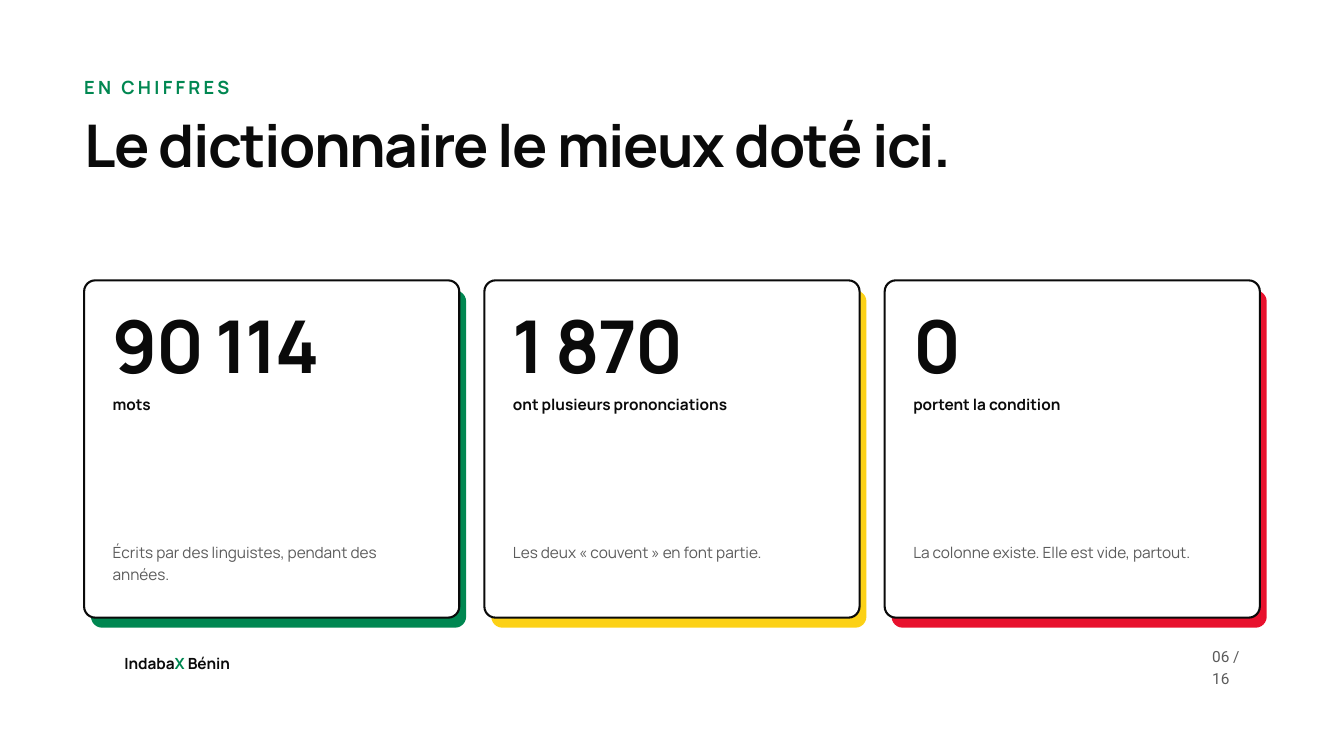
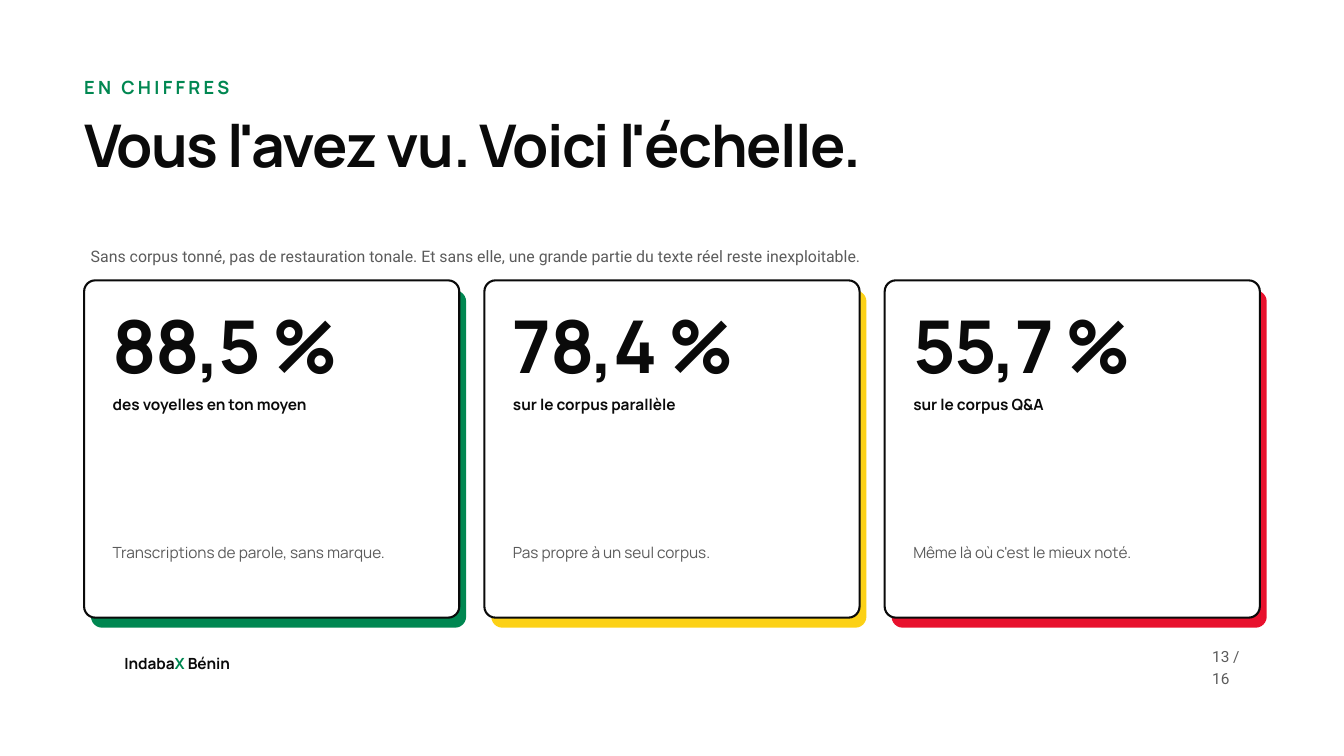
"""Build two slides of key figures, each with three cards."""
import pptx
import pptx.dml.color
import pptx.enum.shapes
import pptx.enum.text
import pptx.util

Cm = pptx.util.Cm
Pt = pptx.util.Pt

COLORS = {
    "ink": "0A0A0A",
    "grey": "5B5B5B",
    "white": "FFFFFF",
    "green": "008751",
    "yellow": "FCD116",
    "red": "E8112D",
}
ACCENTS = ["green", "yellow", "red"]
LEFT, CARD_TOP = 3.18, 10.6
CARD_W, CARD_H, CARD_PITCH = 14.18, 12.75, 15.13
SHADOW_DX, SHADOW_DY = 0.26, 0.38
CORNER = 0.42
PAD = 1.08
TOTAL = 16

SLIDES = [
    {
        "number": 6,
        "title": "Le dictionnaire le mieux doté ici.",
        "lead": None,
        "cards": [
            ("90 114", "mots", "Écrits par des linguistes, pendant des années."),
            ("1 870", "ont plusieurs prononciations", "Les deux « couvent » en font partie."),
            ("0", "portent la condition", "La colonne existe. Elle est vide, partout."),
        ],
    },
    {
        "number": 13,
        "title": "Vous l'avez vu. Voici l'échelle.",
        "lead": "Sans corpus tonné, pas de restauration tonale. "
                "Et sans elle, une grande partie du texte réel reste inexploitable.",
        "cards": [
            ("88,5 %", "des voyelles en ton moyen", "Transcriptions de parole, sans marque."),
            ("78,4 %", "sur le corpus parallèle", "Pas propre à un seul corpus."),
            ("55,7 %", "sur le corpus Q&A", "Même là où c'est le mieux noté."),
        ],
    },
]


def rgb(name):
    return pptx.dml.color.RGBColor.from_string(COLORS[name])


class Deck:
    """Hold the presentation style and the current slide."""

    def __init__(self):
        self.prs = pptx.Presentation()
        self.prs.slide_width = Cm(50.8)
        self.prs.slide_height = Cm(28.58)
        self.s = None

    def new_slide(self):
        self.s = self.prs.slides.add_slide(self.prs.slide_layouts[5])
        self.s.background.fill.solid()
        self.s.background.fill.fore_color.rgb = rgb("white")

    def set_text(self, sp, runs, size, leading=None, bold=False, spc=0, font="Manrope", inset=False):
        tf = sp.text_frame
        tf.word_wrap = True
        tf.auto_size = pptx.enum.text.MSO_AUTO_SIZE.SHAPE_TO_FIT_TEXT
        tf.vertical_anchor = pptx.enum.text.MSO_ANCHOR.MIDDLE if inset else pptx.enum.text.MSO_ANCHOR.TOP
        if not inset:
            tf.margin_left = tf.margin_top = tf.margin_right = tf.margin_bottom = 0
        p = tf.paragraphs[0]
        p.alignment = pptx.enum.text.PP_ALIGN.LEFT
        if leading:
            p.line_spacing = Pt(leading)
        for text, color in runs:
            r = p.add_run()
            r.text = text
            r.font.size = Pt(size)
            r.font.name = font
            r.font.bold = bold
            r.font.color.rgb = rgb(color)
            if spc:
                r._r.get_or_add_rPr().set("spc", str(round(spc * 100)))

    def text(self, x, y, w, h, runs, size, leading=None, **style):
        sp = self.s.shapes.add_textbox(Cm(x), Cm(y), Cm(w), Cm(h))
        self.set_text(sp, runs, size, leading, **style)

    def title(self, text):
        sp = self.s.shapes.title
        sp.left, sp.top, sp.width, sp.height = Cm(LEFT), Cm(4.45), Cm(39.68), Cm(4.57)
        self.set_text(sp, [(text, "ink")], 63, 66.2, bold=True, spc=-1.6)

    def eyebrow(self, text):
        self.text(LEFT, 2.74, 44.45, 0.84, [(text, "green")], 19.5, 27.3, bold=True, spc=3.5)

    def lead(self, text):
        self.text(LEFT, 9.1, 44.45, 1.14, [(text, "grey")], 17, font="Roboto", inset=True)

    def footer(self, number):
        brand = [("Indaba", "ink"), ("X", "green"), (" Bénin", "ink")]
        self.text(4.7, 24.61, 4.4, 0.71, brand, 16.5, 23.1, bold=True)
        page = [(f"{number:02} / {TOTAL}", "grey")]
        self.text(45.82, 24.36, 1.8, 1.2, page, 16.5, 23.1, font="Roboto")

    def panel(self, x, y, fill, line=None):
        kind = pptx.enum.shapes.MSO_SHAPE.ROUNDED_RECTANGLE
        sp = self.s.shapes.add_shape(kind, Cm(x), Cm(y), Cm(CARD_W), Cm(CARD_H))
        sp.adjustments[0] = CORNER / CARD_H
        sp.shadow.inherit = False
        sp.fill.solid()
        sp.fill.fore_color.rgb = rgb(fill)
        if line:
            sp.line.color.rgb = rgb(line)
            sp.line.width = Pt(2.25)
        else:
            sp.line.fill.background()

    def card(self, x, accent, figure, label, note):
        self.panel(x + SHADOW_DX, CARD_TOP + SHADOW_DY, accent)
        self.panel(x, CARD_TOP, "white", "ink")
        inner, w = x + PAD, CARD_W - 2 * PAD
        self.text(inner, 11.91, w, 2.57, [(figure, "ink")], 78, 78, bold=True, spc=-1.9)
        self.text(inner, 14.83, w, 0.71, [(label, "ink")], 16.5, 23.1, bold=True)
        self.text(inner, 20.37, w, 1.83, [(note, "grey")], 16.5, 23.9)


def main():
    deck = Deck()
    for content in SLIDES:
        deck.new_slide()
        deck.eyebrow("EN CHIFFRES")
        deck.title(content["title"])
        deck.footer(content["number"])
        for i, (accent, card) in enumerate(zip(ACCENTS, content["cards"])):
            deck.card(LEFT + i * CARD_PITCH, accent, *card)
        if content["lead"]:
            deck.lead(content["lead"])
    deck.prs.save("out.pptx")


if __name__ == "__main__":
    main()
